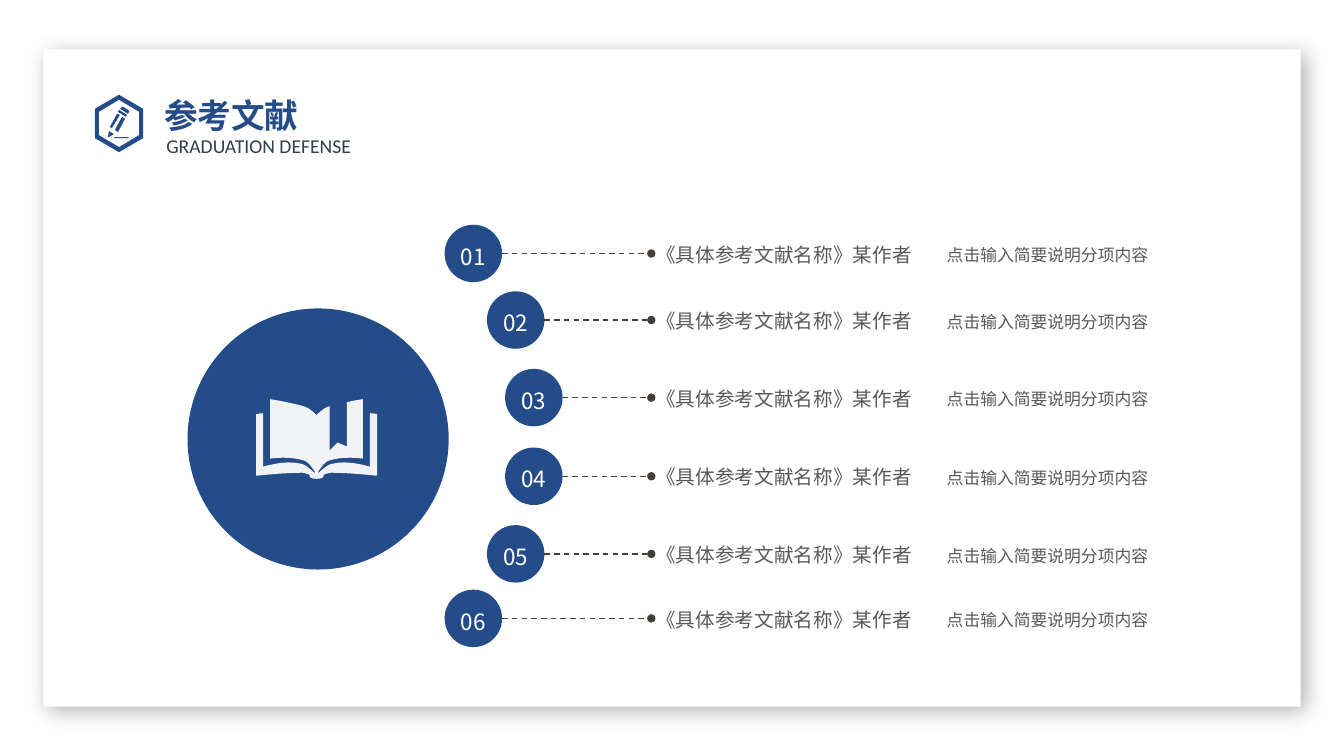
from lxml import etree
from pptx import Presentation
from pptx.dml.color import RGBColor
from pptx.enum.dml import MSO_LINE
from pptx.enum.shapes import MSO_CONNECTOR, MSO_SHAPE
from pptx.enum.text import MSO_ANCHOR, MSO_AUTO_SIZE, PP_ALIGN
from pptx.oxml.ns import qn
from pptx.util import Inches, Pt

RECT, OVAL = MSO_SHAPE.RECTANGLE, MSO_SHAPE.OVAL
STRAIGHT, DASH = MSO_CONNECTOR.STRAIGHT, MSO_LINE.DASH
MIDDLE, CENTER = MSO_ANCHOR.MIDDLE, PP_ALIGN.CENTER
FIT_SHAPE = MSO_AUTO_SIZE.SHAPE_TO_FIT_TEXT
COLORS = {"blue": "244C89", "white": "FFFFFF", "subtitle": "313D51",
          "body": "595959", "line": "433D3C", "book": "F0F2F4"}
CJK = "Noto Sans CJK SC"
DISC_SIZE = 0.57
DISC_LEFTS = [4.41, 4.83, 5.01, 5.01, 4.83, 4.41]
DISC_TOPS = [2.23, 2.89, 3.66, 4.44, 5.21, 5.85]
CITATION = "《具体参考文献名称》某作者"
SUMMARY = "点击输入简要说明分项内容"

PENCIL_ICON = [
    [(0.24, 0), (0.48, 0.14), (0.48, 0.43), (0.24, 0.57), (0, 0.43), (0, 0.14)],
    [(0.24, 0.05), (0.44, 0.17), (0.44, 0.4), (0.24, 0.52), (0.04, 0.4), (0.04, 0.17)],
    [(0.2, 0.42), (0.33, 0.42), (0.34, 0.43), (0.33, 0.43), (0.2, 0.43), (0.19, 0.43)],
    [(0.2, 0.35), (0.27, 0.22), (0.3, 0.24), (0.23, 0.37)],
    [(0.15, 0.32), (0.22, 0.19), (0.25, 0.2), (0.17, 0.33)],
    [(0.13, 0.42), (0.14, 0.36), (0.19, 0.39), (0.14, 0.42)],
    [(0.24, 0.15), (0.23, 0.17), (0.31, 0.22), (0.32, 0.2)],
    [(0.26, 0.13), (0.27, 0.12), (0.28, 0.12), (0.33, 0.15), (0.34, 0.16),
     (0.34, 0.17), (0.33, 0.19), (0.25, 0.14)],
]
BOOK_HALF = [
    (0, 0.79), (0.04, 0.79, 0.07, 0.78, 0.07, 0.76), (0.07, 0.75),
    (0.1, 0.74, 0.12, 0.73, 0.15, 0.73), (0.33, 0.73, 0.6, 0.76, 0.6, 0.76),
    (0.6, 0.15), (0.6, 0.15, 0.57, 0.14, 0.53, 0.14), (0.53, 0.67),
    (0.53, 0.67, 0.31, 0.6, 0.16, 0.64), (0.1, 0.65, 0.06, 0.7, 0.02, 0.73),
    (0.01, 0.73), (0.03, 0.7, 0.07, 0.63, 0.12, 0.61),
    (0.27, 0.56, 0.46, 0.59, 0.46, 0.59), (0.46, 0),
]
BOOKMARK = [(0.46, 0, 0.39, 0.01, 0.3, 0.03), (0.3, 0.47), (0.21, 0.43),
            (0.13, 0.51), (0.13, 0.07)]
PLAIN_PAGE = [(0.46, 0, 0.27, 0.03, 0.13, 0.07)]
SPINE = [(0.06, 0.09, 0, 0.16, 0, 0.16)]


def rgb(name):
    """Return the named colour."""
    return RGBColor.from_string(COLORS[name])


def paint(shape, color):
    """Give a shape a flat fill without line or shadow."""
    shape.fill.solid()
    shape.fill.fore_color.rgb = rgb(color)
    shape.line.fill.background()
    shape.shadow.inherit = False
    return shape


def write(shape, text, size, color, font=CJK, spacing=1.2, margins=(0, 0, 0, 0),
          bold=False, wrap=True):
    """Write one run into a shape and return its paragraph."""
    frame = shape.text_frame
    frame.word_wrap = wrap
    (frame.margin_left, frame.margin_top,
     frame.margin_right, frame.margin_bottom) = map(Inches, margins)
    paragraph = frame.paragraphs[0]
    paragraph.line_spacing = spacing
    run = paragraph.add_run()
    run.text = text
    run.font.size, run.font.bold, run.font.name = Pt(size), bold, font
    run.font.color.rgb = rgb(color)
    etree.SubElement(run.font._element, qn("a:ea")).set("typeface", CJK)
    return paragraph


def textbox(shapes, *box):
    """Add a text box at a place given in inches."""
    return shapes.add_textbox(*map(Inches, box))


def oval(shapes, left, top, size):
    """Add a blue disc."""
    return paint(shapes.add_shape(OVAL, *map(Inches, (left, top, size, size))), "blue")


def trace(steps):
    """Turn points and cubic curves into a list of points."""
    points = []
    for step in steps:
        if len(step) == 2:
            points.append(step)
            continue
        controls = [points[-1], step[:2], step[2:4], step[4:]]
        for t in (i / 8 for i in range(1, 9)):
            weights = ((1 - t) ** 3, 3 * t * (1 - t) ** 2, 3 * t * t * (1 - t), t ** 3)
            points.append(tuple(sum(w * c[axis] for w, c in zip(weights, controls))
                                for axis in (0, 1)))
    return points


def outline(shapes, left, top, contours, color):
    """Draw closed contours relative to a corner as one filled shape."""
    placed = [[(Inches(left + x), Inches(top + y)) for x, y in contour]
              for contour in contours]
    builder = shapes.build_freeform(*placed[0][0])
    for index, contour in enumerate(placed):
        if index:
            builder.move_to(*contour[0])
        builder.add_line_segments(contour[1:], close=True)
    paint(builder.convert_to_shape(), color)


def add_panel(shapes, left, top, width, height):
    """Draw the white page panel with its soft shadow."""
    panel = paint(shapes.add_shape(RECT, *map(Inches, (left, top, width, height))), "white")
    effects = panel.element.spPr.find(qn("a:effectLst"))
    shadow = etree.SubElement(effects, qn("a:outerShdw"), blurRad=str(Pt(15)),
                              dist=str(Pt(5)), dir="2700000", algn="tl", rotWithShape="0")
    black = etree.SubElement(shadow, qn("a:srgbClr"), val="000000")
    etree.SubElement(black, qn("a:alpha"), val="30000")


def add_header(shapes, left, top):
    """Draw the pencil icon, the heading and its English subtitle."""
    outline(shapes, left, top, PENCIL_ICON, "blue")
    subtitle = textbox(shapes, left + 0.71, top + 0.3, 2.17, 0.34)
    write(subtitle, "GRADUATION DEFENSE", 14, "subtitle", "Calibri", Pt(23),
          (0, 0, 0, 0.05))
    heading = textbox(shapes, left + 0.59, top - 0.13, 4.27, 0.5)
    write(heading, "参考文献", 24, "blue", "Lato", margins=(0.1, 0.05, 0.1, 0.05), bold=True)


def add_book(shapes, left, top, size):
    """Draw the large disc with the open book."""
    oval(shapes, left, top, size)
    right_half = trace(BOOK_HALF + BOOKMARK + SPINE)
    left_half = [(-x, y) for x, y in trace(BOOK_HALF + PLAIN_PAGE + SPINE)]
    outline(shapes, left + 1.28, top + 0.9, [right_half + left_half[::-1]], "book")


def add_reference(shapes, number, left, top):
    """Draw one numbered disc, its dashed leader and the reference text."""
    disc = oval(shapes, left, top, DISC_SIZE)
    disc.text_frame.vertical_anchor = MIDDLE
    write(disc, f"{number:02}", 16, "white").alignment = CENTER
    entry = shapes.add_group_shape().shapes
    citation = textbox(entry, 6.51, top + 0.13, 2.55, 0.26)
    write(citation, CITATION, 14, "body", wrap=False)
    summary = textbox(entry, 9.39, top + 0.16, 3.14, 0.22)
    write(summary, SUMMARY, 12, "body")
    for box in (citation, summary):
        box.text_frame.auto_size = FIT_SHAPE
    middle = top + DISC_SIZE / 2
    leader = shapes.add_connector(
        STRAIGHT, *map(Inches, (left + DISC_SIZE, middle, 6.46, middle)))
    leader.line.color.rgb = rgb("line")
    leader.line.width = Pt(1)
    leader.line.dash_style = DASH
    properties = leader.element.spPr
    etree.SubElement(properties.find(qn("a:ln")), qn("a:tailEnd"), type="oval")
    etree.SubElement(properties, qn("a:effectLst"))


def main():
    """Build the references slide and save it."""
    deck = Presentation()
    deck.slide_width, deck.slide_height = Inches(13.33), Inches(7.5)
    shapes = deck.slides.add_slide(deck.slide_layouts[6]).shapes
    add_panel(shapes, 0.43, 0.49, 12.47, 6.52)
    add_header(shapes, 0.94, 0.94)
    for number, (left, top) in enumerate(zip(DISC_LEFTS, DISC_TOPS), 1):
        add_reference(shapes, number, left, top)
    add_book(shapes, 1.86, 3.06, 2.59)
    deck.save("out.pptx")


if __name__ == "__main__":
    main()
